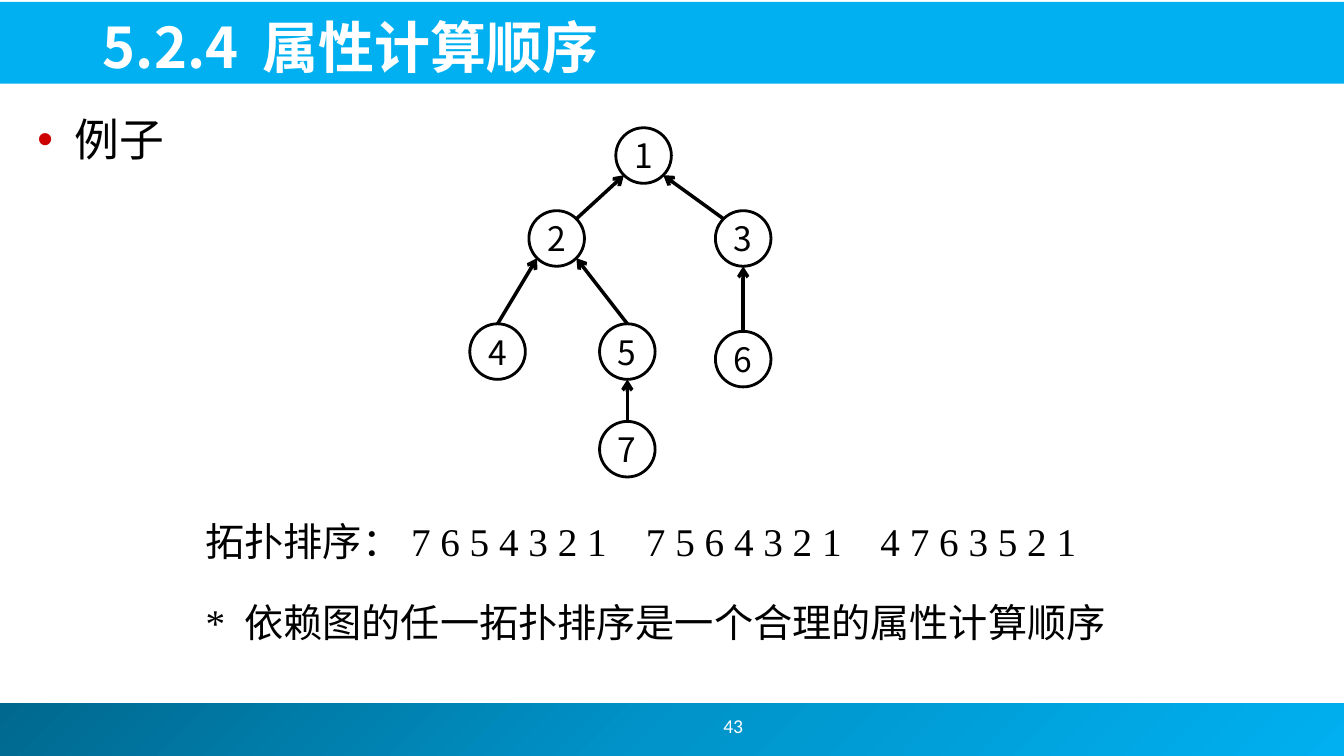
from copy import deepcopy
from dataclasses import dataclass
from enum import Enum
from math import sqrt

from lxml.etree import SubElement
from pptx import Presentation
from pptx.dml.color import RGBColor
from pptx.enum.shapes import MSO_CONNECTOR, MSO_SHAPE
from pptx.enum.text import MSO_ANCHOR, MSO_AUTO_SIZE, PP_ALIGN
from pptx.oxml.ns import qn
from pptx.util import Cm, Pt

COLORS = {"black": "000000", "white": "FFFFFF", "bullet": "CC0000",
          "sky": "00B0F0", "ocean": "0094CA", "deep": "00688E"}
SERIF, SANS, NUMBER = "Times New Roman", "Noto Sans CJK JP", "Calibri"
WIDTH, HEIGHT = 33.87, 19.05
DIAMETER = 1.4
DIAGONAL = sqrt(0.5)


class Site(Enum):
    """Direction from a node's centre to a point on its rim."""
    TOP = (0, -1)
    BOTTOM = (0, 1)
    TOP_LEFT = (-DIAGONAL, -DIAGONAL)
    TOP_RIGHT = (DIAGONAL, -DIAGONAL)
    BOTTOM_LEFT = (-DIAGONAL, DIAGONAL)
    BOTTOM_RIGHT = (DIAGONAL, DIAGONAL)


@dataclass(frozen=True)
class Node:
    label: str
    x: float
    y: float

    def rim(self, site: Site) -> tuple:
        dx, dy = site.value
        return Cm(self.x + dx * DIAMETER / 2), Cm(self.y + dy * DIAMETER / 2)


@dataclass(frozen=True)
class Dependency:
    child: int
    leave: Site
    parent: int
    arrive: Site


@dataclass(frozen=True)
class Caption:
    text: str
    left: float
    top: float
    width: float
    height: float
    size: int
    font: str = SERIF
    color: str = "black"
    tabs: tuple = ()


def rgb(name: str) -> RGBColor:
    return RGBColor.from_string(COLORS[name])


def style_text(paragraph, size: int, font: str, color: str, bold: bool = False) -> None:
    for run in paragraph.runs:
        run.font.size = Pt(size)
        run.font.name = font
        run.font.bold = bold
        run.font.color.rgb = rgb(color)
        if font == SANS:
            SubElement(run.font._element, qn("a:ea"), typeface=font)


def add_tabs(paragraph, stops: tuple) -> None:
    tab_list = SubElement(paragraph._p.get_or_add_pPr(), qn("a:tabLst"))
    for stop in stops:
        SubElement(tab_list, qn("a:tab"), pos=str(Cm(stop)), algn="l")


def add_bar(slide, top: float, height: float):
    bar = slide.shapes.add_shape(MSO_SHAPE.RECTANGLE, 0, Cm(top), Cm(WIDTH), Cm(height))
    bar.shadow.inherit = False
    bar.line.fill.background()
    return bar


def fill_gradient(bar, colors: list) -> None:
    bar.fill.gradient()
    bar.fill.gradient_angle = 315
    stops = bar._element.find(".//" + qn("a:gsLst"))
    stops.insert(1, deepcopy(stops[0]))
    for index, (stop, color) in enumerate(zip(bar.fill.gradient_stops, colors)):
        stop.position = index / (len(colors) - 1)
        stop.color.rgb = rgb(color)


def add_caption(slide, caption: Caption):
    box = slide.shapes.add_textbox(Cm(caption.left), Cm(caption.top),
                                   Cm(caption.width), Cm(caption.height))
    box.text_frame.word_wrap = True
    paragraph = box.text_frame.paragraphs[0]
    paragraph.text = caption.text
    if caption.tabs:
        add_tabs(paragraph, caption.tabs)
    style_text(paragraph, caption.size, caption.font, caption.color)
    return box


def add_bullet(paragraph, indent: float) -> None:
    props = paragraph._p.get_or_add_pPr()
    props.set("marL", str(Cm(indent)))
    props.set("indent", str(-Cm(indent)))
    color = SubElement(props, qn("a:buClr"))
    SubElement(color, qn("a:srgbClr"), val=COLORS["bullet"])
    SubElement(props, qn("a:buFont"), typeface="Arial")
    SubElement(props, qn("a:buChar"), char="•")


def add_node(slide, node: Node) -> None:
    circle = slide.shapes.add_shape(
        MSO_SHAPE.OVAL, Cm(node.x - DIAMETER / 2), Cm(node.y - DIAMETER / 2),
        Cm(DIAMETER), Cm(DIAMETER))
    circle.shadow.inherit = False
    circle.fill.background()
    circle.line.color.rgb = rgb("black")
    circle.line.width = Pt(2)
    frame = circle.text_frame
    frame.margin_left = frame.margin_right = frame.margin_top = frame.margin_bottom = 0
    frame.word_wrap = False
    frame.vertical_anchor = MSO_ANCHOR.MIDDLE
    frame.text = node.label
    frame.paragraphs[0].alignment = PP_ALIGN.CENTER
    style_text(frame.paragraphs[0], 24, SANS, "black")


def add_arrow(slide, start: tuple, end: tuple) -> None:
    arrow = slide.shapes.add_connector(MSO_CONNECTOR.STRAIGHT, *start, *end)
    arrow.line.color.rgb = rgb("black")
    arrow.line.width = Pt(2.5)
    SubElement(arrow.line._get_or_add_ln(), qn("a:tailEnd"), type="arrow")
    SubElement(arrow._element.spPr, qn("a:effectLst"))


NODES = [Node("1", 16.22, 3.92), Node("2", 14.03, 6.01), Node("3", 18.73, 6.01),
         Node("4", 12.54, 8.86), Node("5", 15.81, 8.86), Node("6", 18.73, 9.05),
         Node("7", 15.81, 11.32)]
DEPENDENCIES = [
    Dependency(2, Site.TOP_RIGHT, 1, Site.BOTTOM_LEFT),
    Dependency(3, Site.TOP_LEFT, 1, Site.BOTTOM_RIGHT),
    Dependency(4, Site.TOP, 2, Site.BOTTOM_LEFT),
    Dependency(5, Site.TOP, 2, Site.BOTTOM_RIGHT),
    Dependency(6, Site.TOP, 3, Site.BOTTOM),
    Dependency(7, Site.TOP, 5, Site.BOTTOM),
]
EXAMPLE = Caption("例子", 0.69, 2.69, 8.84, 1.7, 32)
PAGE = Caption("43", 14.81, 17.65, 7.34, 1.27, 14, NUMBER, "white")
NOTES = [
    Caption("拓扑排序：\t7 6 5 4 3 2 1\t7 5 6 4 3 2 1\t4 7 6 3 5 2 1",
            4.93, 12.9, 23.8, 1.45, 28, tabs=(5.18, 11.1, 17.01)),
    Caption("*\t依赖图的任一拓扑排序是一个合理的属性计算顺序",
            4.93, 14.94, 23.8, 1.45, 28, tabs=(0.98,)),
]


def main() -> None:
    prs = Presentation()
    prs.slide_width, prs.slide_height = Cm(WIDTH), Cm(HEIGHT)
    slide = prs.slides.add_slide(prs.slide_layouts[5])

    # Header and footer bars
    fill_gradient(add_bar(slide, 17.72, HEIGHT - 17.72), ["deep", "ocean", "sky"])
    header = add_bar(slide, 0.05, 2.06)
    header.fill.solid()
    header.fill.fore_color.rgb = rgb("sky")

    # Title, brought in front of the header bar
    title = slide.shapes.title
    header._element.addnext(title._element)
    title.left, title.top, title.width, title.height = Cm(2.34), Cm(0.13), Cm(30.4), Cm(2)
    title.text_frame.text = "5.2.4\t属性计算顺序"
    title.text_frame.vertical_anchor = MSO_ANCHOR.BOTTOM
    title.text_frame.auto_size = MSO_AUTO_SIZE.NONE
    heading = title.text_frame.paragraphs[0]
    heading.alignment = PP_ALIGN.LEFT
    add_tabs(heading, (4.02,))
    style_text(heading, 40, SANS, "white", bold=True)

    # Example bullet and page number
    add_bullet(add_caption(slide, EXAMPLE).text_frame.paragraphs[0], 0.95)
    page = add_caption(slide, PAGE).text_frame
    page.vertical_anchor = MSO_ANCHOR.MIDDLE
    page.paragraphs[0].alignment = PP_ALIGN.CENTER

    # Dependency graph
    for node in NODES:
        add_node(slide, node)
    for link in DEPENDENCIES:
        add_arrow(slide, NODES[link.child - 1].rim(link.leave),
                  NODES[link.parent - 1].rim(link.arrive))

    # Sorting orders and remark
    for note in NOTES:
        add_caption(slide, note)

    prs.save("out.pptx")


if __name__ == "__main__":
    main()
